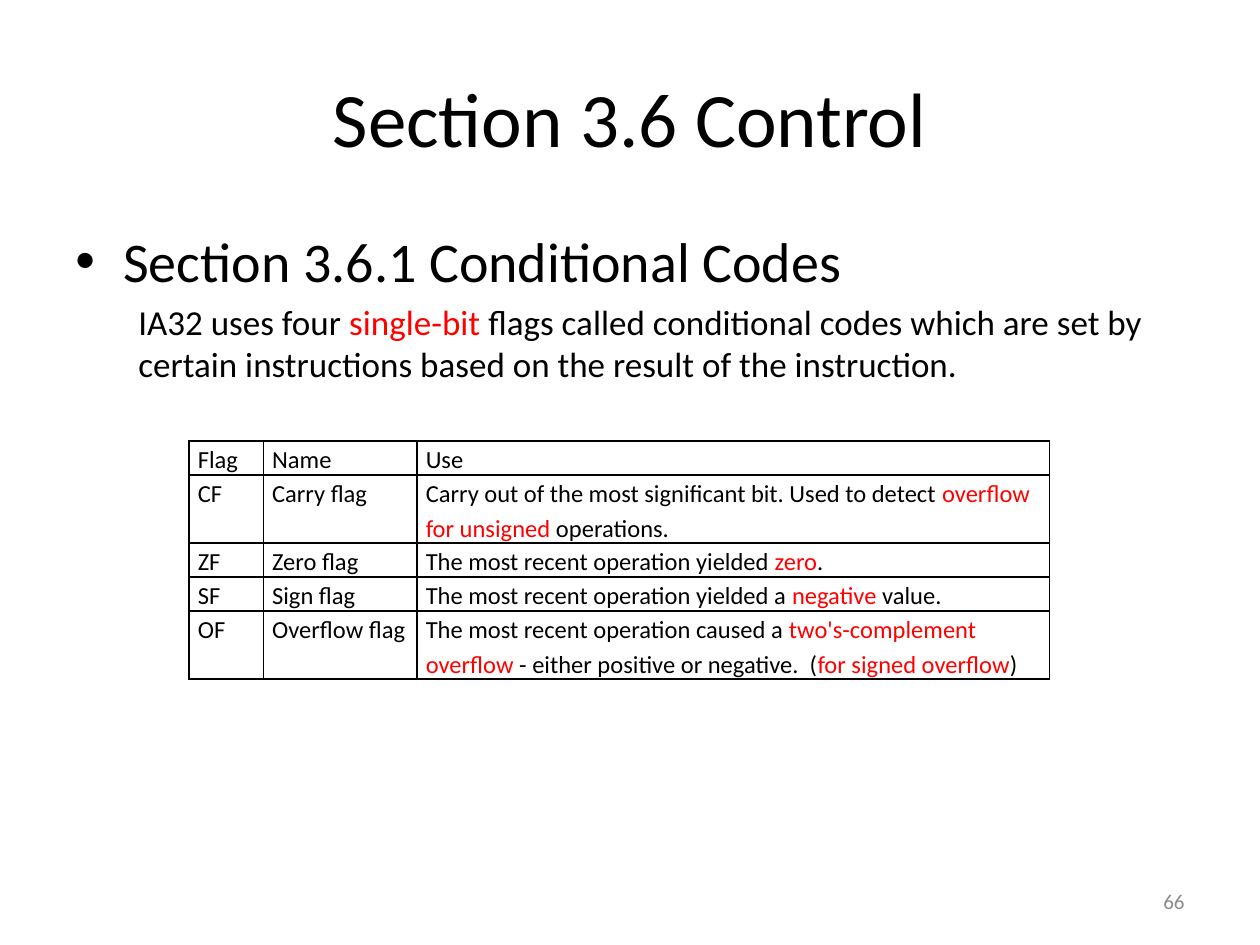
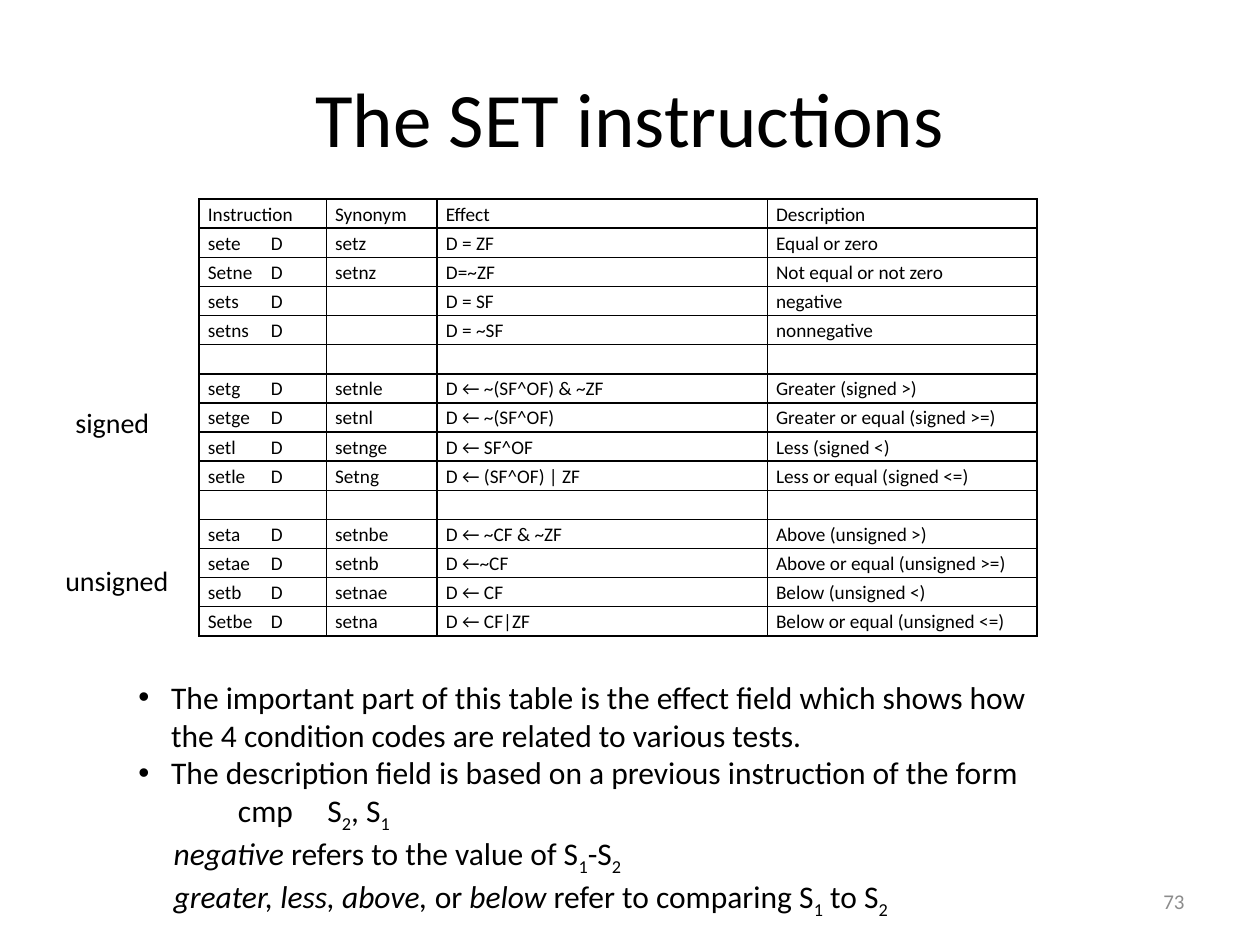
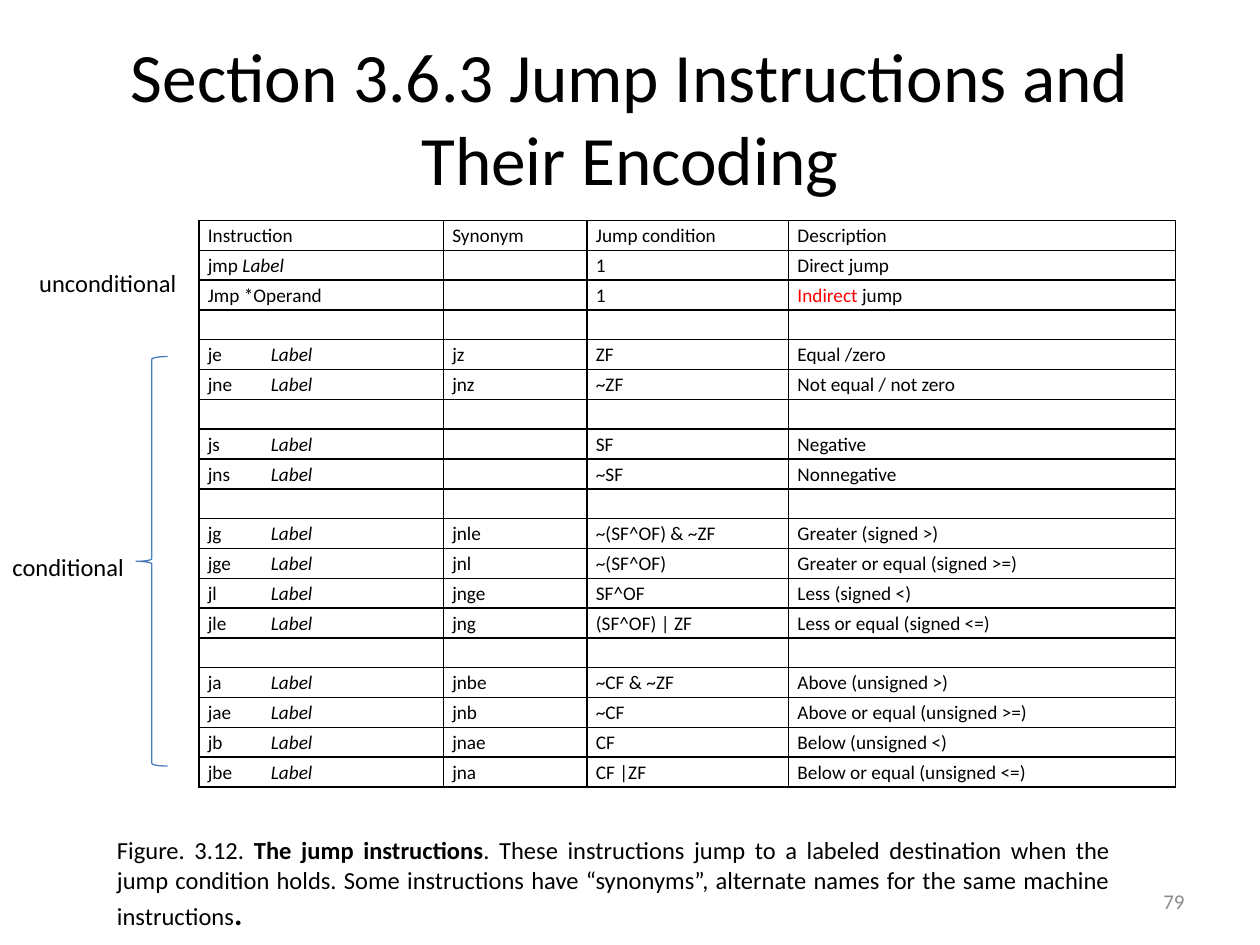
from lxml import etree
from pptx import Presentation
from pptx.dml.color import RGBColor
from pptx.enum.shapes import MSO_SHAPE
from pptx.enum.text import MSO_ANCHOR, PP_ALIGN
from pptx.oxml.ns import qn
from pptx.util import Inches, Pt

LEFT, CENTER, RIGHT, JUSTIFY = PP_ALIGN.LEFT, PP_ALIGN.CENTER, PP_ALIGN.RIGHT, PP_ALIGN.JUSTIFY
TOP, MIDDLE = MSO_ANCHOR.TOP, MSO_ANCHOR.MIDDLE
LEFT_BRACE = MSO_SHAPE.LEFT_BRACE

COLORS = {"text": "000000", "accent": "FF0000", "number": "8C8C8C", "brace": "4B7EBC"}
FONT = "Calibri"
RED = {"color": "accent"}
ITALIC = {"italic": True}
BOLD = {"bold": True}
SUB = {"baseline": -25000}

TITLE_BOX = (0.5, 0.3, 9, 1.25)
NUMBER_BOX = (7.17, 6.95, 2.33, 0.4)


def rgb(name):
    return RGBColor.from_string(COLORS[name])


def style_run(run, size, color="text", bold=False, italic=False, baseline=None):
    font = run.font
    font.name, font.size, font.bold, font.italic = FONT, Pt(size), bold, italic
    font.color.rgb = rgb(color)
    if baseline:
        run._r.get_or_add_rPr().set("baseline", str(baseline))


def write_text(paragraph, content, size=11, color="text", align=LEFT, spacing=None,
               before=0, margin=0, indent=0, bullet=None, tab=None):
    paragraph.alignment = align
    paragraph.space_before = Pt(before)
    if spacing:
        paragraph.line_spacing = spacing
    properties = paragraph._p.get_or_add_pPr()
    properties.set("marL", str(Inches(margin)))
    properties.set("indent", str(Inches(indent)))
    if bullet:
        etree.SubElement(properties, qn("a:buFont"), typeface="Arial")
        etree.SubElement(properties, qn("a:buChar"), char=bullet)
    else:
        etree.SubElement(properties, qn("a:buNone"))
    if tab:
        stops = etree.SubElement(properties, qn("a:tabLst"))
        etree.SubElement(stops, qn("a:tab"), pos=str(Inches(tab)), algn="l")
    if not content:
        etree.SubElement(paragraph._p, qn("a:endParaRPr"), sz=str(size * 100))
    for part in [content] if isinstance(content, str) else content:
        text, style = (part, {}) if isinstance(part, str) else part
        if text:
            run = paragraph.add_run()
            run.text = text
            style_run(run, **{"size": size, "color": color, **style})


def add_text(slide, box, paragraphs, anchor=TOP, **common):
    frame = slide.shapes.add_textbox(*map(Inches, box)).text_frame
    frame.word_wrap = True
    frame.vertical_anchor = anchor
    for index, (content, options) in enumerate(paragraphs):
        paragraph = frame.add_paragraph() if index else frame.paragraphs[0]
        write_text(paragraph, content, **{**common, **options})


def add_label(slide, box, content, **options):
    add_text(slide, box, [(content, {})], **options)


def add_border(cell):
    properties = cell._tc.get_or_add_tcPr()
    for side in ("lnL", "lnR", "lnT", "lnB"):
        line = etree.SubElement(properties, qn("a:" + side), w=str(Pt(1)))
        fill = etree.SubElement(line, qn("a:solidFill"))
        etree.SubElement(fill, qn("a:srgbClr"), val=COLORS["text"])


def add_grid(slide, left, top, widths, heights, rows, size, tab=None):
    frame = slide.shapes.add_table(len(rows), len(widths), Inches(left), Inches(top),
                                   Inches(sum(widths)), Inches(sum(heights)))
    table = frame.table
    table.first_row = table.horz_banding = False
    for column, width in zip(table.columns, widths):
        column.width = Inches(width)
    for row, height, contents in zip(table.rows, heights, rows):
        row.height = Inches(height)
        for cell, content in zip(row.cells, contents):
            cell.margin_left = cell.margin_right = Inches(0.07)
            cell.margin_top = cell.margin_bottom = 0
            add_border(cell)
            cell.fill.background()
            has_tab = "\t" in "".join(p if isinstance(p, str) else p[0] for p in content)
            write_text(cell.text_frame.paragraphs[0], content, size=size, spacing=1.15,
                       tab=tab if has_tab else None)


def add_brace(slide, box):
    shape = slide.shapes.add_shape(LEFT_BRACE, *map(Inches, box))
    shape.shadow.inherit = False
    shape.fill.background()
    shape.line.color.rgb = rgb("brace")
    shape.line.width = Pt(0.75)


def start_slide(presentation, title, number, title_size=44):
    slide = presentation.slides.add_slide(presentation.slide_layouts[6])
    add_label(slide, TITLE_BOX, title, size=title_size, align=CENTER, anchor=MIDDLE)
    add_label(slide, NUMBER_BOX, number, size=12, color="number", align=RIGHT, anchor=MIDDLE)
    return slide


FLAG_ROWS = [
    ("Flag", "Name", "Use"),
    ("CF", "Carry flag", ["Carry out of the most significant bit. Used to detect ",
                          ("overflow for unsigned", RED), " operations."]),
    ("ZF", "Zero flag", ["The most recent operation yielded ", ("zero", RED), "."]),
    ("SF", "Sign flag", ["The most recent operation yielded a ", ("negative ", RED), "value."]),
    ("OF", "Overflow flag", ["The most recent operation caused a ",
                             ("two's-complement overflow ", RED),
                             "- either positive or negative.  (",
                             ("for signed overflow", RED), ")"]),
]

BLANK_ROW = ("",) * 4

SET_ROWS = [
    ("Instruction", "Synonym", "Effect", "Description"),
    ("sete\tD", "setz", "D = ZF", "Equal or zero"),
    ("Setne\tD", "setnz", "D=~ZF", "Not equal or not zero"),
    ("sets\tD", "", "D = SF", "negative"),
    ("setns\tD", "", "D = ~SF", "nonnegative"),
    BLANK_ROW,
    ("setg\tD", "setnle", "D ← ~(SF^OF) & ~ZF", "Greater (signed >)"),
    ("setge\tD", "setnl", "D ← ~(SF^OF)", "Greater or equal (signed >=)"),
    ("setl\tD", "setnge", "D ← SF^OF", "Less (signed <)"),
    ("setle\tD", "Setng", "D ← (SF^OF) | ZF", "Less or equal (signed <=)"),
    BLANK_ROW,
    ("seta\tD", "setnbe", "D ← ~CF & ~ZF", "Above (unsigned >)"),
    ("setae\tD", "setnb", "D ←~CF", "Above or equal (unsigned >=)"),
    ("setb\tD", "setnae", "D ← CF", "Below (unsigned <)"),
    ("Setbe\tD", "setna", "D ← CF|ZF", "Below or equal (unsigned <=)"),
]


def jump(name, *cells):
    return ([name + "\t", ("Label", ITALIC)], *cells)


JUMP_ROWS = [
    ("Instruction", "Synonym", "Jump condition", "Description"),
    (["jmp ", ("Label", ITALIC)], "", "1", "Direct jump"),
    ("Jmp *Operand", "", "1", [("Indirect", RED), " jump"]),
    BLANK_ROW,
    jump("je", "jz", "ZF", "Equal /zero"),
    jump("jne", "jnz", "~ZF", "Not equal / not zero"),
    BLANK_ROW,
    jump("js", "", "SF", "Negative"),
    jump("jns", "", "~SF", "Nonnegative"),
    BLANK_ROW,
    jump("jg", "jnle", "~(SF^OF) & ~ZF", "Greater (signed >)"),
    jump("jge", "jnl", "~(SF^OF)", "Greater or equal (signed >=)"),
    jump("jl", "jnge", "SF^OF", "Less (signed <)"),
    jump("jle", "jng", "(SF^OF) | ZF", "Less or equal (signed <=)"),
    BLANK_ROW,
    jump("ja", "jnbe", "~CF & ~ZF", "Above (unsigned >)"),
    jump("jae", "jnb", "~CF", "Above or equal (unsigned >=)"),
    jump("jb", "jnae", "CF", "Below (unsigned <)"),
    jump("jbe", "jna", "CF |ZF", "Below or equal (unsigned <=)"),
]


def build_flags(presentation):
    slide = start_slide(presentation, "Section 3.6 Control", "66")
    add_text(slide, (0.5, 1.75, 9, 4.95), [
        ("Section 3.6.1 Conditional Codes",
         {"size": 32, "before": 6.4, "margin": 0.38, "indent": -0.38, "bullet": "•"}),
        (["IA32 uses four ", ("single-bit", RED),
          " flags called conditional codes which are set by certain instructions "
          "based on the result of the instruction."],
         {"size": 20, "before": 4, "margin": 0.5}),
    ])
    add_grid(slide, 1.5, 3.5, [0.59, 1.22, 5.02], [0.27, 0.54, 0.27, 0.27, 0.54],
             FLAG_ROWS, size=14)


def build_set(presentation):
    slide = start_slide(presentation, "The SET instructions", "73")
    add_grid(slide, 1.58, 1.58, [1.01, 0.88, 2.62, 2.14],
             [3.47 / len(SET_ROWS)] * len(SET_ROWS), SET_ROWS, size=11, tab=0.4)
    bullet = {"margin": 0.26, "indent": -0.26, "bullet": "•"}
    aside = {"margin": 0.28}
    add_text(slide, (1, 5.33, 7.42, 1.92), [
        ("The important part of this table is the effect field which shows how "
         "the 4 condition codes are related to various tests.", bullet),
        ("The description field is based on a previous instruction of the form", bullet),
        (["cmp\tS", ("2", SUB), ", S", ("1", SUB)], {"indent": 0.79, "tab": 1.39}),
        ([("negative", ITALIC), " refers to the value of S", ("1", SUB), "-S", ("2", SUB)],
         aside),
        ([("greater, less, above, ", ITALIC), "or", (" below ", ITALIC),
          "refer to comparing S", ("1", SUB), " to S", ("2", SUB)], aside),
    ], size=18)
    add_label(slide, (0.5, 3.17, 0.92, 0.37), "signed", size=16)
    add_label(slide, (0.42, 4.42, 1.08, 0.37), "unsigned", size=16)


def build_jump(presentation):
    slide = start_slide(presentation, "Section 3.6.3 Jump Instructions and Their Encoding",
                        "79", title_size=39.6)
    add_grid(slide, 1.58, 1.75, [1.94, 1.14, 1.6, 3.07],
             [4.5 / len(JUMP_ROWS)] * len(JUMP_ROWS), JUMP_ROWS, size=11, tab=0.26)
    add_label(slide, (0.83, 6.58, 8.08, 0.88), [
        "Figure. 3.12. ", ("The jump instructions", BOLD),
        ". These instructions jump to a labeled destination when the jump condition holds. "
        "Some instructions have “synonyms”, alternate names for the same machine instructions",
        (".", {"size": 18, "bold": True}),
    ], size=14, align=JUSTIFY)
    add_label(slide, (0, 2.08, 1.5, 0.34), "unconditional", size=14, align=RIGHT)
    add_label(slide, (0, 4.33, 1.25, 0.34), "conditional", size=14)
    add_brace(slide, (1.08, 2.83, 0.25, 3.25))


presentation = Presentation()
presentation.slide_width, presentation.slide_height = Inches(10), Inches(7.5)
for build in (build_flags, build_set, build_jump):
    build(presentation)
presentation.save("out.pptx")
